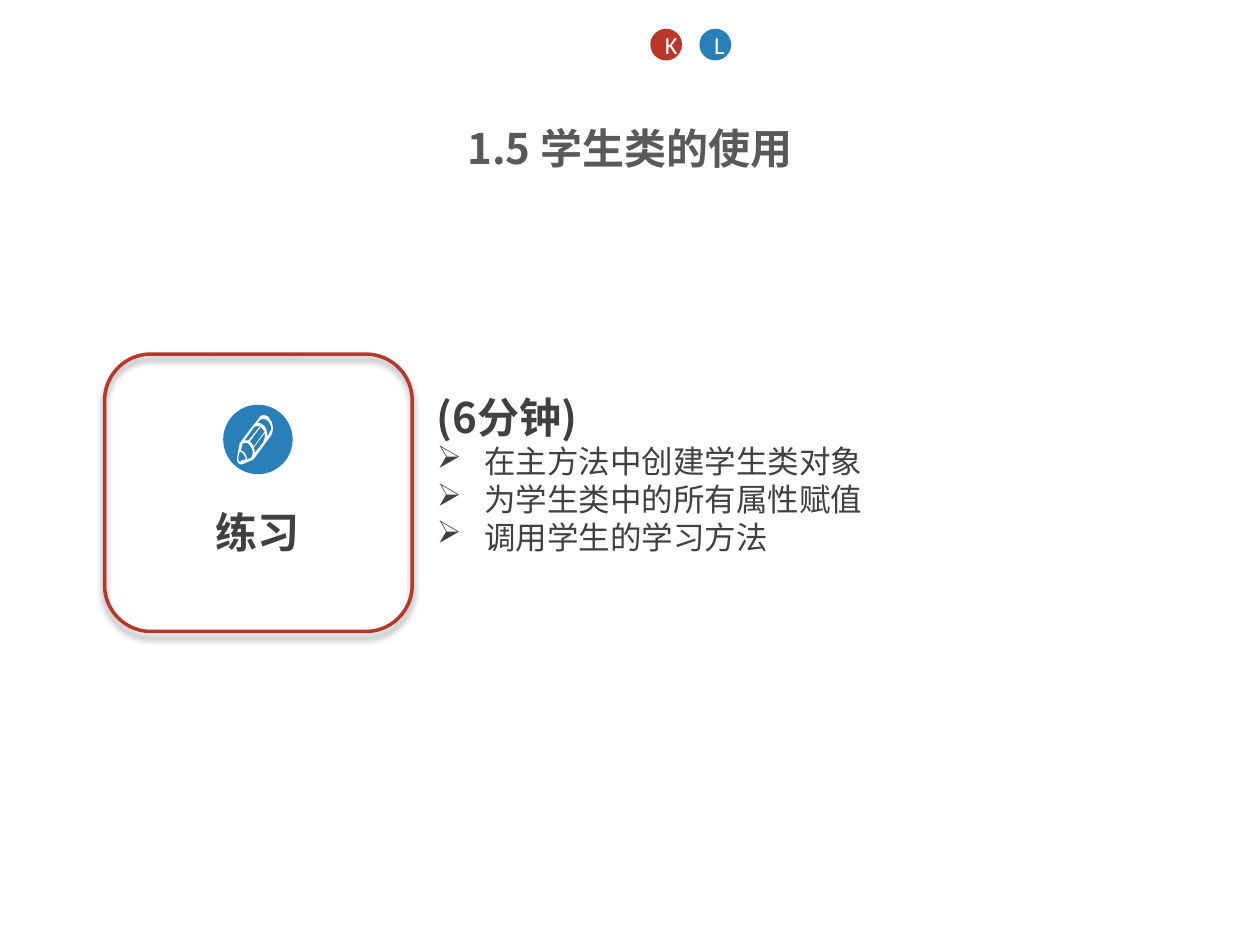
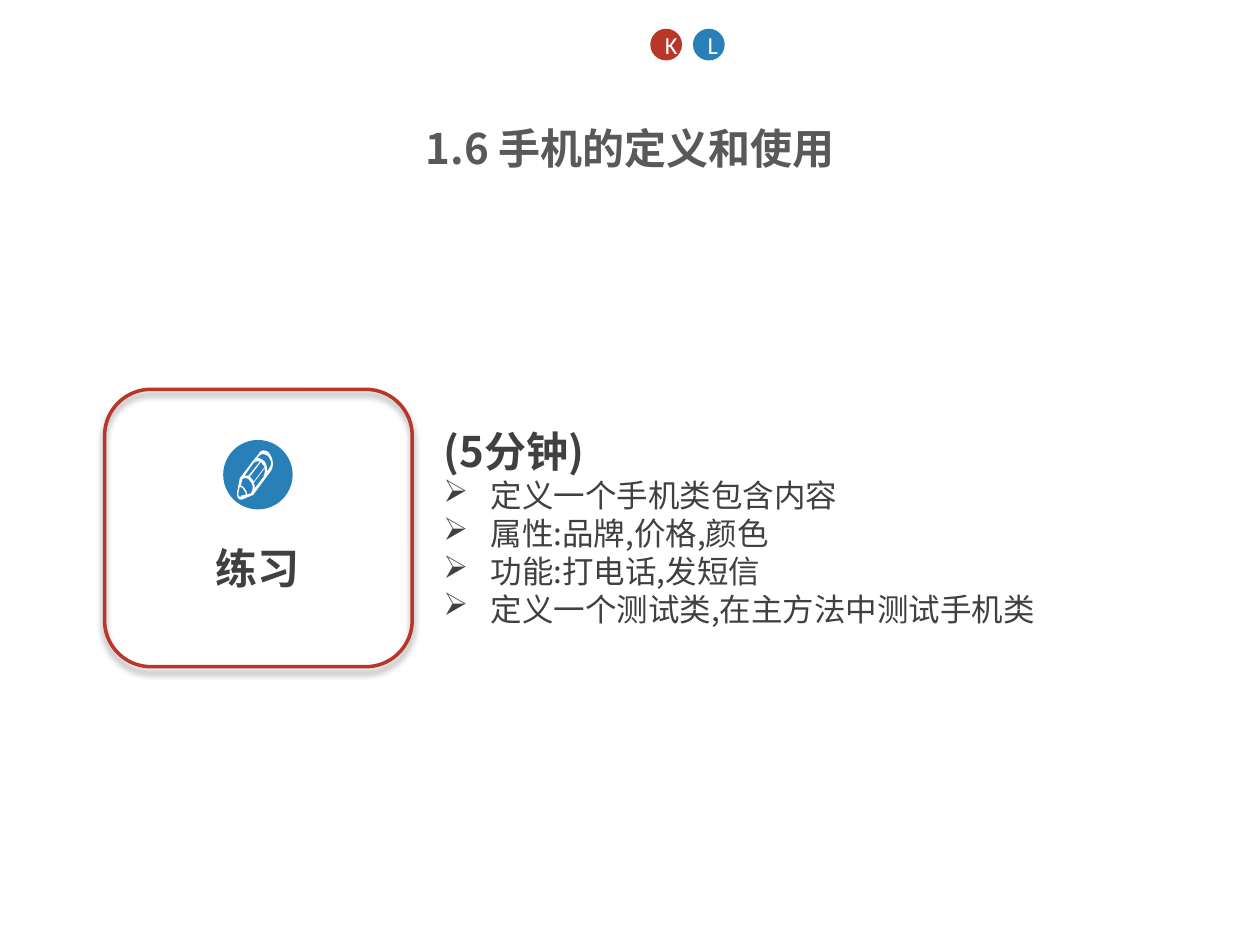
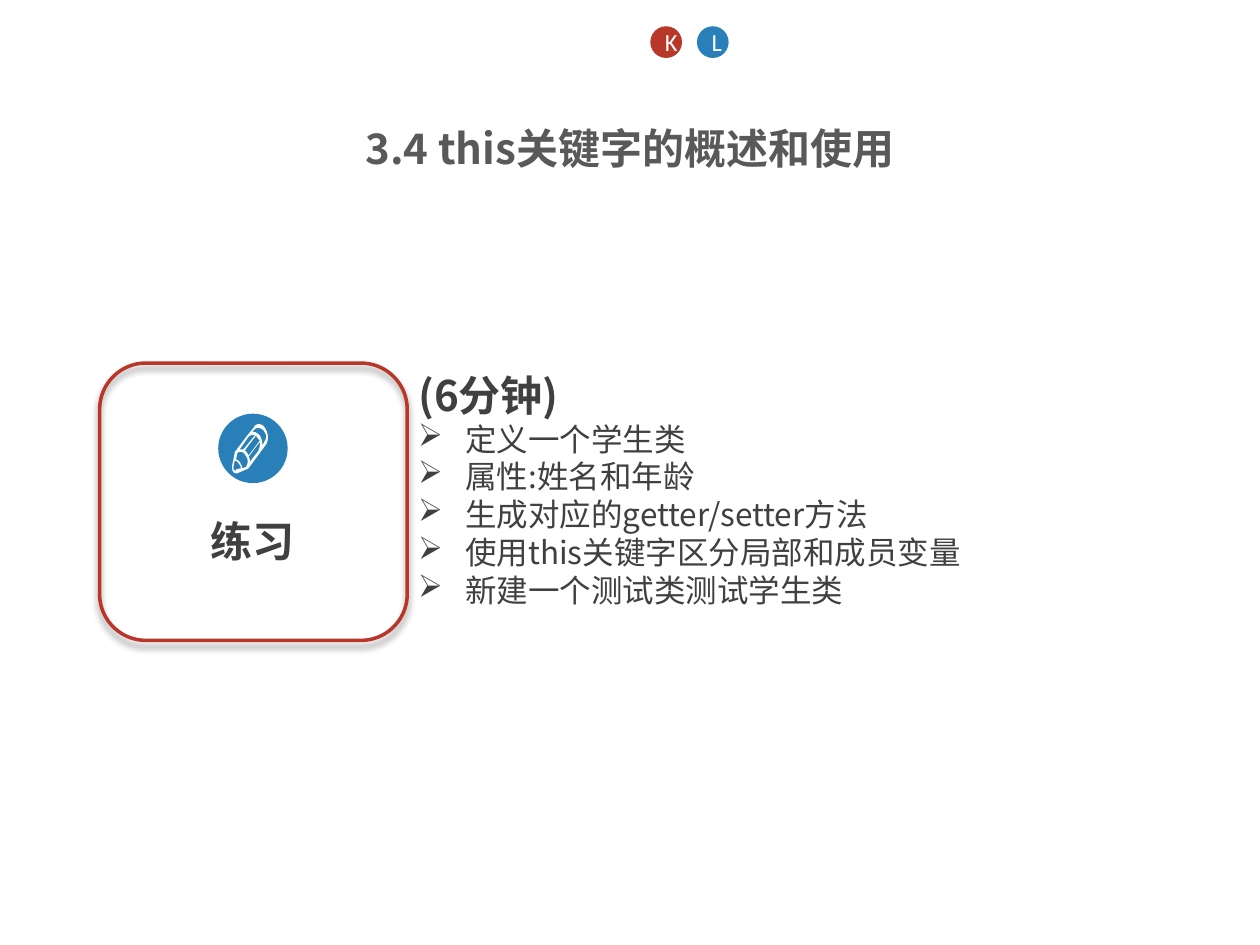
import pptx
import pptx.dml.color
import pptx.enum.shapes
import pptx.enum.text
import pptx.oxml
import pptx.oxml.ns
import pptx.util
import lxml.etree
from pptx.util import Cm

EXERCISES = [
    {
        "title": "1.5 学生类的使用",
        "duration": "(6分钟)",
        "tasks": ["在主方法中创建学生类对象", "为学生类中的所有属性赋值", "调用学生的学习方法"],
        "card": (2.11, 7.14),
        "notes": (8.56, 7.77, 3.58),
        "badges": {"top": 0.58, "pitch": 0.99},
    },
    {
        "title": "1.6 手机的定义和使用",
        "duration": "(5分钟)",
        "tasks": [
            "定义一个手机类包含内容",
            "属性:品牌,价格,颜色",
            "功能:打电话,发短信",
            "定义一个测试类,在主方法中测试手机类",
        ],
        "card": (2.11, 7.85),
        "notes": (8.69, 8.46, 5.13),
        "badges": {"top": 0.58, "pitch": 0.86},
    },
    {
        "title": "3.4 this关键字的概述和使用",
        "duration": "(6分钟)",
        "tasks": [
            "定义一个学生类",
            "属性:姓名和年龄",
            "生成对应的getter/setter方法",
            "使用this关键字区分局部和成员变量",
            "新建一个测试类测试学生类",
        ],
        "card": (2.01, 7.32),
        "notes": (8.18, 7.32, 5.89),
        "badges": {"top": 0.53, "pitch": 0.94},
    },
]

CARD_LABEL = "练习"
BADGES = [("K", "red"), ("L", "blue")]

THEME = {
    "red": "B83729",
    "blue": "2980B9",
    "white": "FFFFFF",
    "title": "595959",
    "body": "404040",
    "cjk": "Noto Sans CJK SC",
    "latin": "Calibri",
    "heading_size": 24,
    "task_size": 18,
    "badge_size": 14,
}

PENCIL_UNIT = 0.0254
PENCIL = {
    "barrel": [(26, 3), (25, 1, 23, 0, 21, 0), (19, 0, 18, 1, 17, 3), (12, 9), (3, 21),
               (2, 22, 2, 22, 2, 23), (0, 33), (0, 33, 0, 34, 0, 35), (0, 37, 1, 39, 3, 39),
               (3, 39, 4, 39, 4, 39), (11, 36), (12, 36, 13, 35, 13, 35), (27, 16),
               (29, 13, 29, 7, 26, 3)],
    "eraser": [(25, 15), (24, 17), (24, 13, 23, 11, 22, 9), (20, 7, 18, 6, 16, 6), (18, 4),
               (19, 3, 20, 3, 21, 3), (22, 3, 24, 4, 25, 5), (26, 7, 27, 8, 27, 10),
               (27, 12, 26, 13, 25, 15)],
    "wood": [(8, 35), (8, 33, 7, 32, 6, 30), (5, 29, 4, 28, 3, 28), (4, 24), (4, 23),
             (6, 21, 9, 22, 10, 24), (13, 27, 13, 31, 11, 34)],
    "lead": [(3, 36), (3, 37), (2, 37, 1, 36, 1, 35), (1, 34), (2, 29),
             (3, 29, 5, 30, 5, 31), (6, 32, 7, 34, 7, 35)],
    "upper stripe": [(9, 20), (8, 20, 7, 20, 6, 20), (13, 10), (14, 9, 16, 8, 18, 9)],
    "middle stripe": [(13, 25), (13, 24, 12, 23, 12, 23), (11, 22, 11, 21, 10, 21), (19, 9),
                      (19, 10, 20, 10, 20, 11), (21, 12, 21, 12, 22, 13)],
    "lower stripe": [(14, 29), (14, 28, 14, 27, 13, 26), (22, 14), (22, 17, 22, 19, 21, 20),
                     (21, 21), (14, 30)],
}

SHAPES = pptx.enum.shapes.MSO_SHAPE
ALIGN = pptx.enum.text.PP_ALIGN


def color(key):
    return pptx.dml.color.RGBColor.from_string(THEME[key])


def style(paragraph, size, ink, face="cjk", bold=False):
    for run in paragraph.runs:
        run.font.size = pptx.util.Pt(THEME[size])
        run.font.bold = bold
        run.font.color.rgb = color(ink)
        run.font.name = THEME[face]
        east_asian = lxml.etree.SubElement(run.font._element, pptx.oxml.ns.qn("a:ea"))
        east_asian.set("typeface", THEME[face])


def add_text(shapes, box, lines):
    frame = shapes.add_textbox(*map(Cm, box)).text_frame
    frame.word_wrap = True
    frame.text = "\n".join(lines)
    return frame


def add_disc(shapes, left, top, size, fill):
    disc = shapes.add_shape(SHAPES.OVAL, Cm(left), Cm(top), Cm(size), Cm(size))
    disc.shadow.inherit = False
    disc.fill.solid()
    disc.fill.fore_color.rgb = color(fill)
    disc.line.fill.background()
    return disc


def flatten(segments, steps=5):
    points = [segments[0]]
    for segment in segments[1:]:
        if len(segment) == 2:
            points.append(segment)
            continue
        stops = [points[-1], segment[:2], segment[2:4], segment[4:]]
        for step in range(1, steps + 1):
            t = step / steps
            weights = ((1 - t) ** 3, 3 * t * (1 - t) ** 2, 3 * t * t * (1 - t), t ** 3)
            points.append(tuple(sum(w * stop[axis] for w, stop in zip(weights, stops))
                                for axis in (0, 1)))
    return points


def add_pencil(shapes, left, top):
    builder = None
    for segments in PENCIL.values():
        points = [(Cm(left + x * PENCIL_UNIT), Cm(top + y * PENCIL_UNIT))
                  for x, y in flatten(segments)]
        if builder is None:
            builder = shapes.build_freeform(*points[0])
        else:
            builder.move_to(*points[0])
        builder.add_line_segments(points[1:], close=True)
    pencil = builder.convert_to_shape()
    pencil.shadow.inherit = False
    pencil.fill.solid()
    pencil.fill.fore_color.rgb = color("white")
    pencil.line.fill.background()


def add_soft_shadow(shape):
    shape.shadow.inherit = False
    effects = shape._element.spPr.find(pptx.oxml.ns.qn("a:effectLst"))
    effects.append(pptx.oxml.parse_xml(
        f'<a:outerShdw {pptx.oxml.ns.nsdecls("a")} blurRad="50800" dist="38100" dir="5400000" '
        'algn="t" rotWithShape="0"><a:srgbClr val="000000"><a:alpha val="40000"/>'
        '</a:srgbClr></a:outerShdw>'))


def add_card(slide, left, top):
    shapes = slide.shapes.add_group_shape().shapes
    label_frame = add_text(shapes, (left + 1.98, top + 3.07, 2.21, 1.14), [CARD_LABEL])
    label_frame.margin_right = 0
    label = label_frame.paragraphs[0]
    label.line_spacing = 0.9
    label.space_before = label.space_after = pptx.util.Pt(4.8)
    style(label, "heading_size", "body", bold=True)
    add_disc(shapes, left + 2.39, top + 1.02, 1.4, "blue")
    add_pencil(shapes, left + 2.67, top + 1.23)
    border = shapes.add_shape(SHAPES.ROUNDED_RECTANGLE, Cm(left), Cm(top), Cm(6.2), Cm(5.59))
    border.fill.background()
    border.line.color.rgb = color("red")
    border.line.width = pptx.util.Pt(2)
    add_soft_shadow(border)


def add_notes(slide, left, top, height, duration, tasks):
    frame = add_text(slide.shapes, (left, top, 16.18, height), [duration, *tasks])
    frame.auto_size = pptx.enum.text.MSO_AUTO_SIZE.SHAPE_TO_FIT_TEXT
    heading, *items = frame.paragraphs
    style(heading, "heading_size", "body", bold=True)
    for item in items:
        style(item, "task_size", "body")
        properties = item._p.get_or_add_pPr()
        properties.set("marL", str(Cm(0.95)))
        properties.set("indent", str(-Cm(0.95)))
        bullet = lxml.etree.SubElement(properties, pptx.oxml.ns.qn("a:buChar"))
        bullet.set("char", "➢")


def add_title(slide, title):
    heading = add_text(slide.shapes, (0, 2.34, 25.4, 1.19), [title]).paragraphs[0]
    heading.alignment = ALIGN.CENTER
    style(heading, "heading_size", "title", bold=True)


def add_badges(slide, top, pitch):
    for index, (letter, fill) in enumerate(BADGES):
        badge = add_disc(slide.shapes, 13.11 + index * pitch, top, 0.64, fill)
        badge.text_frame.text = letter
        badge.text_frame.vertical_anchor = pptx.enum.text.MSO_ANCHOR.MIDDLE
        caption = badge.text_frame.paragraphs[0]
        caption.alignment = ALIGN.CENTER
        style(caption, "badge_size", "white", face="latin")


deck = pptx.Presentation()
deck.slide_width, deck.slide_height = Cm(25.4), Cm(19.05)
for exercise in EXERCISES:
    slide = deck.slides.add_slide(deck.slide_layouts[6])
    slide.background.fill.solid()
    slide.background.fill.fore_color.rgb = color("white")
    add_notes(slide, *exercise["notes"], exercise["duration"], exercise["tasks"])
    add_card(slide, *exercise["card"])
    add_title(slide, exercise["title"])
    add_badges(slide, **exercise["badges"])
deck.save("out.pptx")
